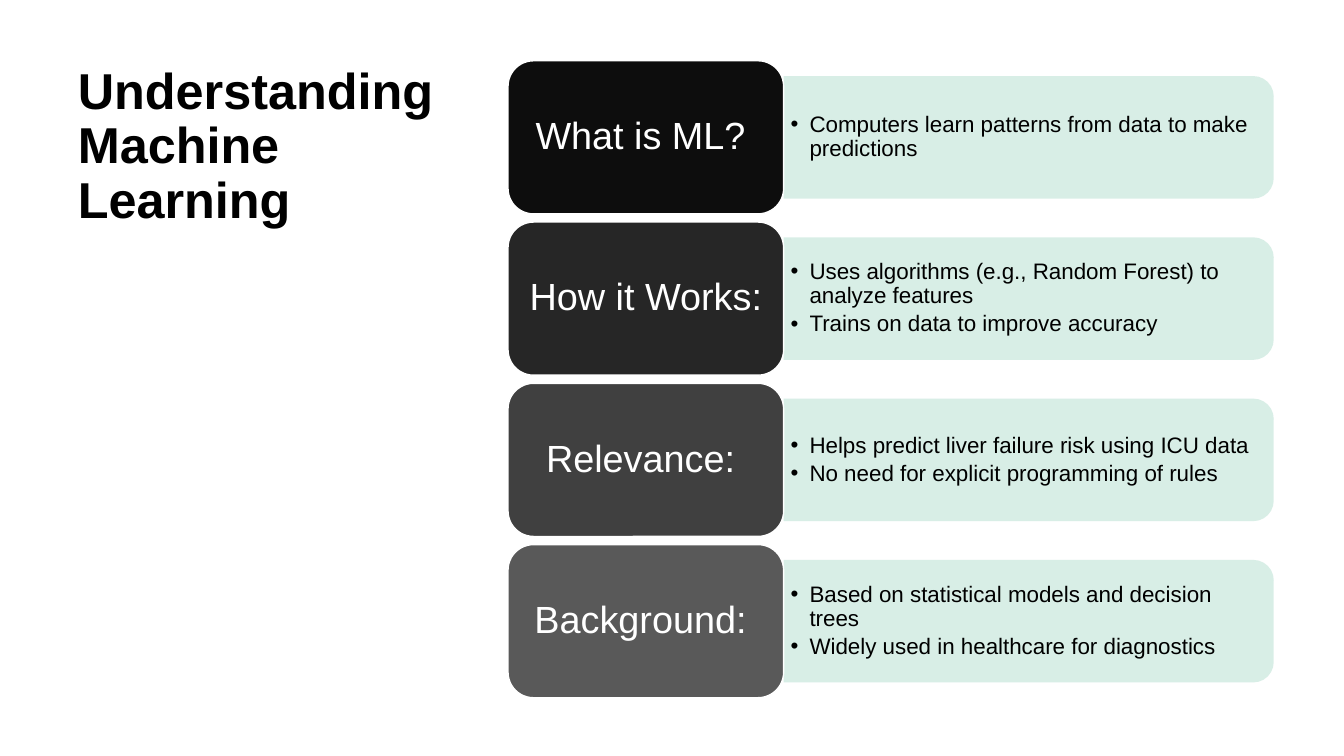
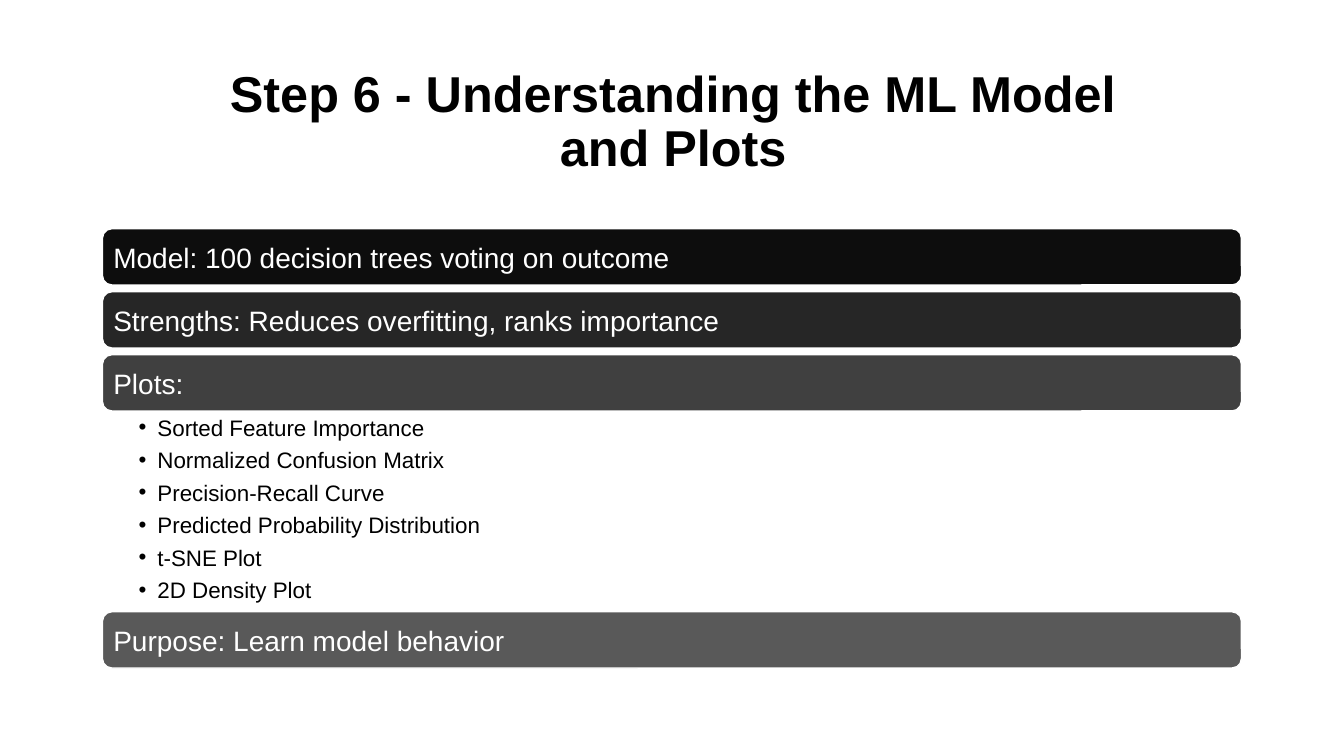
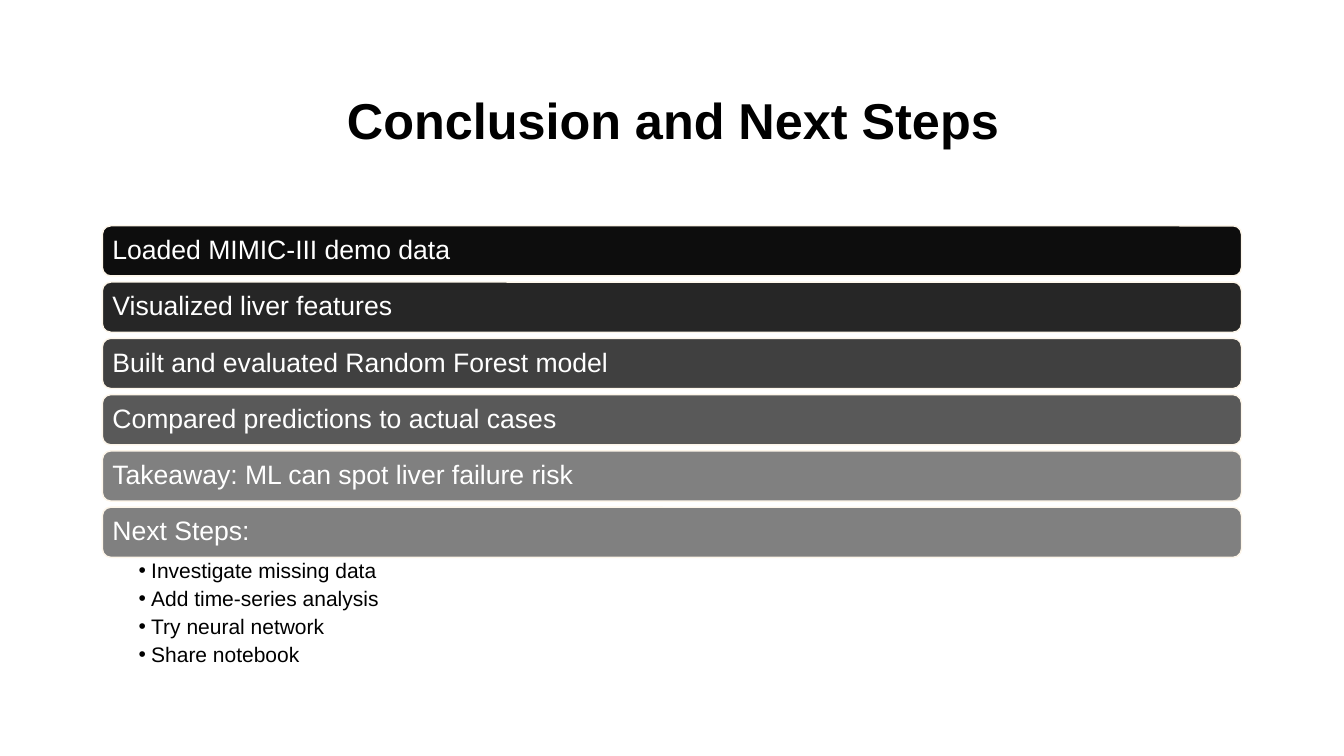
from dataclasses import dataclass

from lxml.etree import SubElement
from pptx import Presentation
from pptx.dml.color import RGBColor
from pptx.enum.shapes import MSO_SHAPE
from pptx.enum.text import MSO_ANCHOR, MSO_AUTO_SIZE, PP_ALIGN
from pptx.oxml.ns import qn
from pptx.util import Pt


@dataclass(frozen=True)
class Theme:
    """Colours, font and type sizes of the deck."""
    font: str = "Arial"
    ink: str = "000000"
    paper: str = "FFFFFF"
    cream: str = "FDF6EA"
    mint: str = "D4EDE4"
    grays: tuple = ("0D0D0D", "262626", "404040", "595959", "808080", "808080")
    title: int = 36
    label: int = 27
    note: int = 16


@dataclass(frozen=True)
class Stack:
    """Measures of a column of bars with a list under one of them."""
    top: float
    bar: float
    gap: float
    list: float
    size: int
    sub: int
    lead: float
    after: float
    hang: float
    inset: float
    line: str


THEME = Theme()
BOX = (73.2, 813.6)
PLOTS = Stack(163.4, 40.2, 4.8, 143.4, 20, 16, 1, 4, 13.5, 5.8, THEME.paper)
STEPS = Stack(161.3, 35.8, 4.4, 82, 19, 15, 0.9, 3.8, 9, 5.4, THEME.cream)


def rgb(code):
    """Return the colour of a hex code."""
    return RGBColor.from_string(code)


def place(shape, left, top, width, height):
    """Move and size a shape, in points."""
    shape.left, shape.top = Pt(left), Pt(top)
    shape.width, shape.height = Pt(width), Pt(height)


def setup(frame, anchor, insets):
    """Set wrapping, anchor and the left, top, right and bottom insets."""
    frame.word_wrap = True
    frame.auto_size = MSO_AUTO_SIZE.NONE
    frame.vertical_anchor = anchor
    left, top, right, bottom = insets
    frame.margin_left, frame.margin_top = Pt(left), Pt(top)
    frame.margin_right, frame.margin_bottom = Pt(right), Pt(bottom)


def bullet(para, hang):
    """Give a paragraph a hanging round bullet."""
    props = para._p.get_or_add_pPr()
    props.set("marL", str(Pt(hang)))
    props.set("indent", str(-Pt(hang)))
    SubElement(props, qn("a:buFont")).set("typeface", THEME.font)
    SubElement(props, qn("a:buChar")).set("char", "•")


def write(frame, lines, size, color, align=PP_ALIGN.LEFT, lead=0.9,
          after=0, hang=0, bold=False):
    """Fill a frame with one paragraph for each line."""
    for index, line in enumerate(lines):
        para = frame.add_paragraph() if index else frame.paragraphs[0]
        para.text = line
        if hang:
            bullet(para, hang)
        para.alignment = align
        para.line_spacing = lead
        para.space_before = Pt(0)
        para.space_after = Pt(after)
        font = para.font
        font.name, font.size, font.bold = THEME.font, Pt(size), bold
        font.color.rgb = rgb(color)


def block(slide, kind, box, fill, line=None):
    """Add a filled preset shape, outlined if a line colour is given."""
    shape = slide.shapes.add_shape(kind, *map(Pt, box))
    shape.shadow.inherit = False
    shape.fill.solid()
    shape.fill.fore_color.rgb = rgb(fill)
    if line:
        shape.line.color.rgb = rgb(line)
        shape.line.width = Pt(1)
    else:
        shape.line.fill.background()
    return shape


def head(slide, text, box, align, anchor):
    """Place and fill the slide title."""
    title = slide.shapes.title
    place(title, *box)
    setup(title.text_frame, anchor, (7.2, 3.6, 7.2, 3.6))
    write(title.text_frame, [text], THEME.title, THEME.ink, align, bold=True)


def panel(slide, left, top, width, height, lines):
    """Add a pale panel, rounded on its right side, with its list."""
    side = left + (width - height) / 2
    rise = top + (height - width) / 2
    shape = block(slide, MSO_SHAPE.ROUND_2_SAME_RECTANGLE,
                  (side, rise, height, width), THEME.mint)
    shape.rotation = 90
    tint = shape.fill._xPr.find(".//" + qn("a:srgbClr"))
    SubElement(tint, qn("a:alpha")).set("val", "90000")
    area = (left, top + 4.3, width - 4.3, height - 8.6)
    frame = slide.shapes.add_textbox(*map(Pt, area)).text_frame
    setup(frame, MSO_ANCHOR.MIDDLE, (5, 2.5, 5, 2.5))
    write(frame, lines, THEME.note, THEME.ink, after=2.8, hang=13.5)


def row(slide, left, top, width, height, name, lines, fill):
    """Add a dark label and the panel to its right."""
    split = width * 0.36
    panel(slide, left + split, top + height * 0.1, width - split,
          height * 0.8, lines)
    shape = block(slide, MSO_SHAPE.ROUNDED_RECTANGLE,
                  (left, top, split, height), fill, THEME.paper)
    setup(shape.text_frame, MSO_ANCHOR.MIDDLE, (8, 4, 8, 4))
    write(shape.text_frame, [name], THEME.label, THEME.paper,
          PP_ALIGN.CENTER)


def topics(deck, title, rows):
    """Build a slide with the title at left and labelled rows at right."""
    slide = deck.slides.add_slide(deck.slide_layouts[5])
    head(slide, title, (48.4, 43.4, 275, 455.6), PP_ALIGN.LEFT,
         MSO_ANCHOR.TOP)
    for index, (name, lines) in enumerate(rows):
        row(slide, 362.9, 43.4 + index * 115.2, 546.9, 109.4, name, lines,
            THEME.grays[index])


def bars(deck, title, items, form):
    """Build a slide with a centred title over a stack of bars."""
    slide = deck.slides.add_slide(deck.slide_layouts[1])
    head(slide, title, (120.2, 43.4, 721.4, 89.3), PP_ALIGN.CENTER,
         MSO_ANCHOR.MIDDLE)
    left, width = BOX
    top = form.top
    for (text, lines), fill in zip(items, THEME.grays):
        shape = block(slide, MSO_SHAPE.ROUNDED_RECTANGLE,
                      (left, top, width, form.bar), fill, form.line)
        setup(shape.text_frame, MSO_ANCHOR.MIDDLE, (form.inset,) * 4)
        write(shape.text_frame, [text], form.size, THEME.paper,
              lead=form.lead)
        top += form.bar
        if lines:
            body = slide.placeholders[1]
            place(body, left, top, width, form.list)
            setup(body.text_frame, MSO_ANCHOR.TOP, (25.8, 2, 11, 2))
            write(body.text_frame, lines, form.sub, THEME.ink,
                  lead=form.lead, after=form.after, hang=form.hang)
            top += form.list
        else:
            top += form.gap


def main():
    """Build and save the deck."""
    deck = Presentation()
    deck.slide_width, deck.slide_height = Pt(960), Pt(540)
    topics(deck, "Understanding Machine Learning", [
        ("What is ML? ", [
            "Computers learn patterns from data to make predictions"]),
        ("How it Works: ", [
            "Uses algorithms (e.g., Random Forest) to analyze features",
            "Trains on data to improve accuracy"]),
        ("Relevance: ", [
            "Helps predict liver failure risk using ICU data",
            "No need for explicit programming of rules"]),
        ("Background: ", [
            "Based on statistical models and decision trees",
            "Widely used in healthcare for diagnostics"]),
    ])
    bars(deck, "Step 6 - Understanding the ML Model and Plots", [
        ("Model: 100 decision trees voting on outcome", []),
        ("Strengths: Reduces overfitting, ranks importance", []),
        ("Plots:", [
            "Sorted Feature Importance",
            "Normalized Confusion Matrix",
            "Precision-Recall Curve",
            "Predicted Probability Distribution",
            "t-SNE Plot",
            "2D Density Plot"]),
        ("Purpose: Learn model behavior", []),
    ], PLOTS)
    bars(deck, "Conclusion and Next Steps", [
        ("Loaded MIMIC-III demo data", []),
        ("Visualized liver features", []),
        ("Built and evaluated Random Forest model", []),
        ("Compared predictions to actual cases", []),
        ("Takeaway: ML can spot liver failure risk", []),
        ("Next Steps:", [
            "Investigate missing data",
            "Add time-series analysis",
            "Try neural network",
            "Share notebook"]),
    ], STEPS)
    deck.save("out.pptx")


if __name__ == "__main__":
    main()
